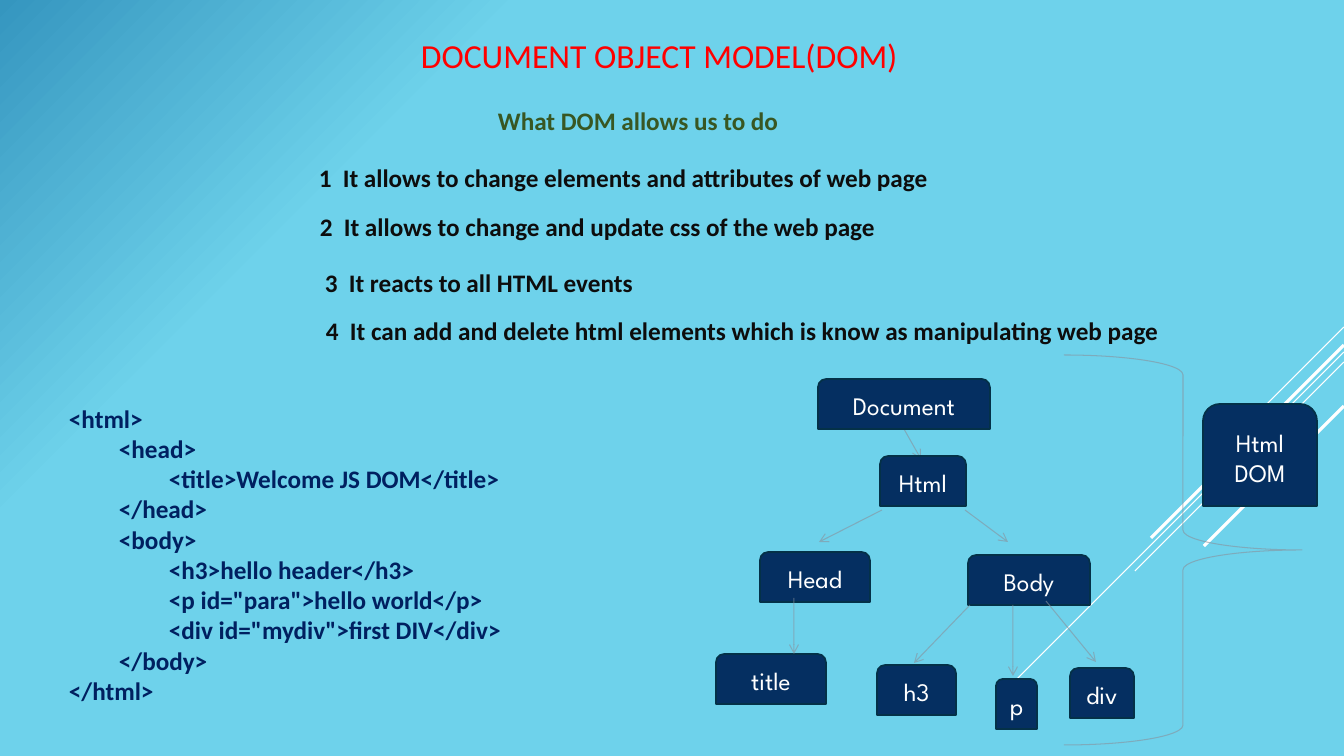
from lxml import etree
from pptx import Presentation
from pptx.dml.color import RGBColor
from pptx.enum.shapes import MSO_CONNECTOR, MSO_SHAPE
from pptx.enum.text import MSO_ANCHOR, MSO_AUTO_SIZE, PP_ALIGN
from pptx.oxml import parse_xml
from pptx.oxml.ns import nsdecls, qn
from pptx.util import Emu, Pt

STRAIGHT = MSO_CONNECTOR.STRAIGHT
TAB_SHAPE = MSO_SHAPE.ROUND_2_SAME_RECTANGLE
BRACE = MSO_SHAPE.RIGHT_BRACE
MIDDLE = MSO_ANCHOR.MIDDLE
GROW = MSO_AUTO_SIZE.SHAPE_TO_FIT_TEXT
CENTER = PP_ALIGN.CENTER
LEFT = PP_ALIGN.LEFT

THEME = {
    "title": ("Calibri", 24, "FF0000", False),
    "subtitle": ("Calibri", 18, "385723", True),
    "point": ("Calibri", 18, "0D0D0D", True),
    "code": ("Calibri", 18, "002060", True),
    "node": ("League Spartan", 18, "FFFFFF", False),
    "node_fill": "052F61",
    "node_line": ("043148", 1.25),
    "arrow": ("89919C", 0.75, 60),
    "ray": "FFFFFF",
    "backdrop": [(75, "6ED2EB"), (100, "3596BF"), (100, "06588E")],
}

TITLE = ("DOCUMENT OBJECT MODEL(DOM)", (411, 30, 523, 50))
SUBTITLE = ("What DOM allows us to do", (488, 100, 303, 40))
POINTS = [
    ("It allows to change elements and attributes of web page", (309, 157, 636, 40)),
    ("It allows to change and update css of the web page", (310, 206, 621, 40)),
    ("It reacts to all HTML events", (315, 262, 446, 40)),
    ("It can add and delete html elements which is know as manipulating web page",
     (316, 310, 874, 40)),
]
NUMBER_GAP = 24
CODE_BOX = (59, 398, 558, 312)
CODE_INDENT = 50
CODE = [
    (0, "<html>"),
    (1, "<head>"),
    (2, "<title>Welcome JS DOM</title>"),
    (1, "</head>"),
    (1, "<body>"),
    (2, "<h3>hello header</h3>"),
    (2, '<p id="para">hello world</p>'),
    (2, '<div id="mydiv">first DIV</div>'),
    (1, "</body>"),
    (0, "</html>"),
]

NODE_HEIGHT = 50
NODES = [
    ("Document", 818, 379, 172),
    ("Html", 880, 456, 86),
    ("Head", 760, 552, 110),
    ("title", 716, 654, 110),
    ("Body", 968, 555, 122),
    ("h3", 877, 665, 79),
    ("p", 996, 679, 41),
    ("div", 1070, 668, 64),
]
ROOT_ARROW = (904, 429, 921, 459)
ARROWS = [
    (882, 510, 819, 542),
    (965, 510, 1008, 542),
    (794, 598, 794, 654),
    (970, 605, 914, 663),
    (1013, 605, 1013, 676),
    (1046, 601, 1096, 662),
]
BRACE_BOX = (1064, 355, 238, 390)
SUMMARY = (["Html", "DOM"], (1203, 404, 114, 102))

PAGE_WIDTH, PAGE_HEIGHT = 1344, 756
RAYS = [(327, 101, 0.75), (352, 329, 0.75), (362, 209, 0.75),
        (345, 193, 2.25), (406, 140, 2.25)]


def px(length):
    return Emu(round(length * 914400 / 100.8))


def paint_line(line, color, width, alpha=100):
    line.color.rgb = RGBColor.from_string(color)
    line.width = Pt(width)
    if alpha < 100:
        tint = line.fill.fore_color._xFill[0]
        etree.SubElement(tint, qn("a:alpha")).set("val", str(alpha * 1000))


def add_span(para, words, style):
    name, size, color, bold = THEME[style]
    span = para.add_run()
    span.text = words
    span.font.name, span.font.size, span.font.bold = name, Pt(size), bold
    span.font.color.rgb = RGBColor.from_string(color)


def fill_text(frame, rows, style, align=LEFT):
    frame.word_wrap = True
    for index, (margin, hang, words) in enumerate(rows):
        para = frame.add_paragraph() if index else frame.paragraphs[0]
        para.alignment = align
        if margin:
            props = para._p.get_or_add_pPr()
            props.set("marL", str(px(margin)))
            props.set("indent", str(px(-hang)))
        add_span(para, words, style)


def add_text(page, place, rows, style):
    frame = page.shapes.add_textbox(*map(px, place)).text_frame
    fill_text(frame, rows, style)
    frame.auto_size = GROW


def add_node(page, place, lines):
    box = page.shapes.add_shape(TAB_SHAPE, *map(px, place))
    box.shadow.inherit = False
    box.fill.solid()
    box.fill.fore_color.rgb = RGBColor.from_string(THEME["node_fill"])
    paint_line(box.line, *THEME["node_line"])
    box.text_frame.vertical_anchor = MIDDLE
    fill_text(box.text_frame, [(0, 0, words) for words in lines], "node", CENTER)


def add_line(page, ends, paint, arrow=False):
    link = page.shapes.add_connector(STRAIGHT, *map(px, ends))
    paint_line(link.line, *paint)
    if arrow:
        etree.SubElement(link.line._get_or_add_ln(), qn("a:tailEnd")).set("type", "arrow")
    etree.SubElement(link._element.spPr, qn("a:effectLst"))


def paint_backdrop(page):
    page.background.fill.solid()
    holder = page._element.find(".//" + qn("p:bgPr"))
    stops = "".join(
        f'<a:gs pos="{pos * 1000}"><a:srgbClr val="{color}"/></a:gs>'
        for pos, color in THEME["backdrop"])
    holder.replace(holder[0], parse_xml(
        f'<a:gradFill {nsdecls("a")} rotWithShape="1"><a:gsLst>{stops}</a:gsLst>'
        '<a:path path="circle"><a:fillToRect l="100000" t="100000"/></a:path></a:gradFill>'))


deck = Presentation()
deck.slide_width, deck.slide_height = px(PAGE_WIDTH), px(PAGE_HEIGHT)
page = deck.slides.add_slide(deck.slide_layouts[6])
paint_backdrop(page)

for top, reach, width in RAYS:
    add_line(page, (PAGE_WIDTH, top, PAGE_WIDTH - reach, top + reach), (THEME["ray"], width))

for style, (words, place) in (("title", TITLE), ("subtitle", SUBTITLE)):
    add_text(page, place, [(0, 0, words)], style)
for number, (words, place) in enumerate(POINTS, 1):
    add_text(page, place, [(NUMBER_GAP, NUMBER_GAP, f"{number}\t{words}")], "point")
add_text(page, CODE_BOX, [(depth * CODE_INDENT, 0, words) for depth, words in CODE], "code")

add_line(page, ROOT_ARROW, THEME["arrow"], True)
for words, left, top, width in NODES:
    add_node(page, (left, top, width, NODE_HEIGHT), [words])
for ends in ARROWS:
    add_line(page, ends, THEME["arrow"], True)

brace = page.shapes.add_shape(BRACE, *map(px, BRACE_BOX))
brace.shadow.inherit = False
brace.fill.background()
paint_line(brace.line, *THEME["arrow"])
lines, place = SUMMARY
add_node(page, place, lines)

deck.save("out.pptx")
